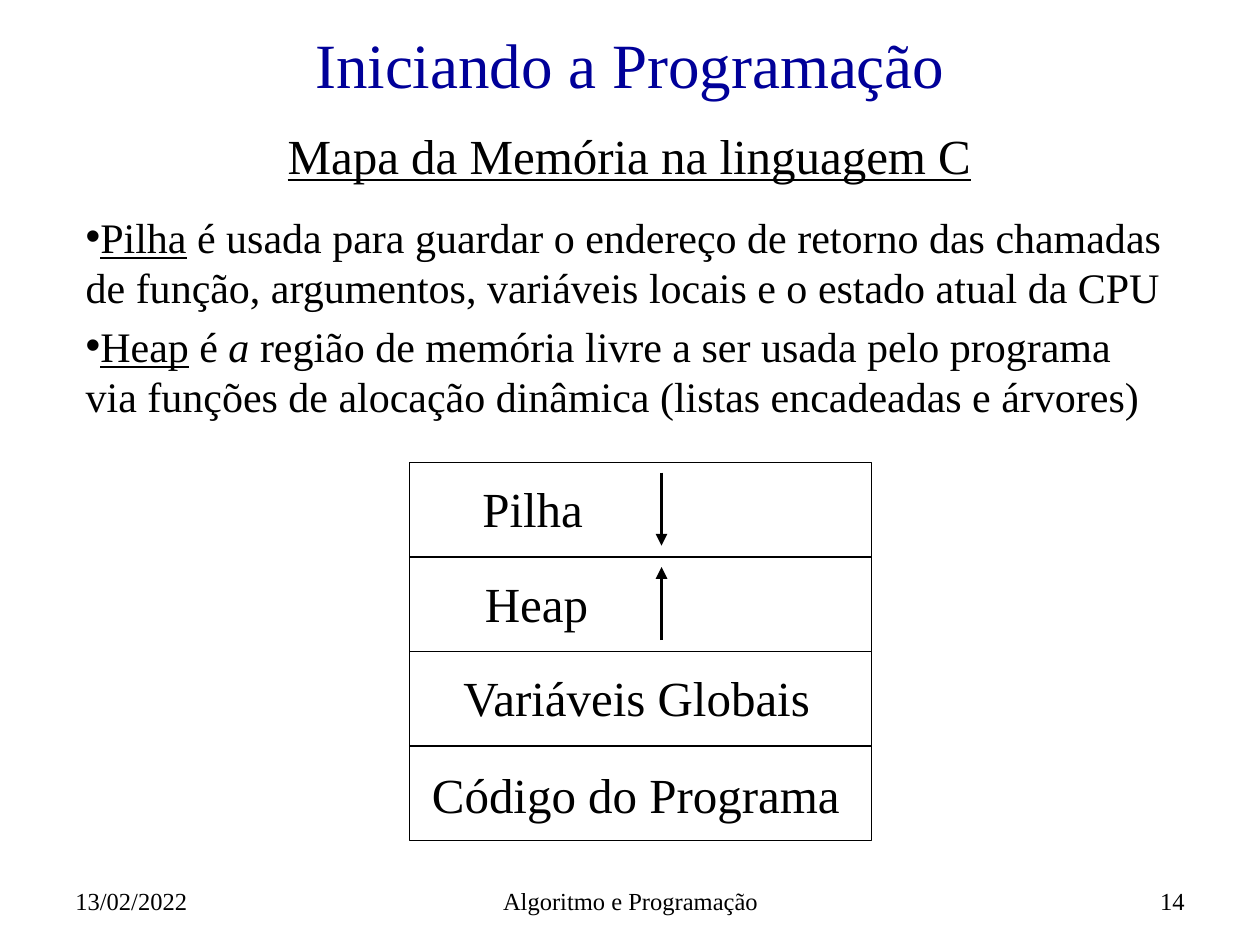
from lxml import etree
from pptx import Presentation
from pptx import util as u
from pptx.dml.color import RGBColor
from pptx.enum import shapes, text
from pptx.oxml.ns import qn

COLORS = {"text": "000000", "title": "000099", "line": "000000"}
ALIGN = text.PP_ALIGN


class MemorySlide:
    """Holds the style and the current slide, and adds each kind of element."""

    font = "Times New Roman"

    def __init__(self, presentation):
        self.slide = presentation.slides.add_slide(presentation.slide_layouts[1])

    def place(self, shape, box):
        shape.left, shape.top, shape.width, shape.height = map(u.Inches, box)

    def format(self, paragraph, size, align=ALIGN.LEFT, color="text"):
        paragraph.alignment = align
        paragraph.font.name = self.font
        paragraph.font.size = u.Pt(size)
        paragraph.font.color.rgb = RGBColor.from_string(COLORS[color])

    def title(self, wording, box):
        title = self.slide.shapes.title
        self.place(title, box)
        title.text_frame.text = wording
        title.text_frame.vertical_anchor = text.MSO_ANCHOR.MIDDLE
        self.format(title.text_frame.paragraphs[0], 36, ALIGN.CENTER, "title")

    def body(self, heading, items, box):
        body = self.slide.placeholders[1]
        self.place(body, box)
        frame = body.text_frame
        frame.auto_size = text.MSO_AUTO_SIZE.NONE
        first = frame.paragraphs[0]
        first.text = heading
        self.format(first, 28, ALIGN.CENTER)
        first.font.underline = True
        first.line_spacing = 0.9
        first.space_after = u.Pt(10)
        self.bullet(first, None)
        for item in items:
            paragraph = frame.add_paragraph()
            self.format(paragraph, 24)
            self.bullet(paragraph, "•")
            for wording, style in item:
                run = paragraph.add_run()
                run.text = wording
                if style:
                    setattr(run.font, style, True)

    def bullet(self, paragraph, mark):
        properties = paragraph._p.get_or_add_pPr()
        properties.set("marL", "0")
        properties.set("indent", "0")
        if mark:
            etree.SubElement(properties, qn("a:buChar")).set("char", mark)
        else:
            etree.SubElement(properties, qn("a:buNone"))

    def textbox(self, wording, box, size, align=ALIGN.LEFT, wrap=True):
        shape = self.slide.shapes.add_textbox(*map(u.Inches, box))
        frame = shape.text_frame
        frame.text = wording
        frame.word_wrap = wrap
        if wrap:
            frame.vertical_anchor = text.MSO_ANCHOR.MIDDLE
        else:
            frame.auto_size = text.MSO_AUTO_SIZE.SHAPE_TO_FIT_TEXT
        self.format(frame.paragraphs[0], size, align)

    def rectangle(self, box):
        shape = self.slide.shapes.add_shape(
            shapes.MSO_SHAPE.RECTANGLE, *map(u.Inches, box))
        shape.shadow.inherit = False
        shape.fill.background()
        shape.line.color.rgb = RGBColor.from_string(COLORS["line"])
        shape.line.width = u.Pt(0.75)

    def arrow(self, x, start, end):
        connector = self.slide.shapes.add_connector(
            shapes.MSO_CONNECTOR.STRAIGHT, *map(u.Inches, (x, start, x, end)))
        connector.line.color.rgb = RGBColor.from_string(COLORS["line"])
        connector.line.width = u.Pt(2.25)
        line = connector.line._get_or_add_ln()
        etree.SubElement(line, qn("a:tailEnd")).set("type", "triangle")
        etree.SubElement(connector._element.spPr, qn("a:effectLst"))


def main():
    presentation = Presentation()
    presentation.slide_width = u.Inches(10)
    presentation.slide_height = u.Inches(7.5)
    page = MemorySlide(presentation)

    page.title("Iniciando a Programação", (0.75, 0.17, 8.5, 0.67))
    page.body("Mapa da Memória na linguagem C", [
        [("Pilha", "underline"),
         (" é usada para guardar o endereço de retorno das chamadas de função, "
          "argumentos, variáveis locais e o estado atual da CPU", None)],
        [("Heap", "underline"), (" é", None), (" a ", "italic"),
         ("região de memória livre a ser usada pelo programa via funções de "
          "alocação dinâmica (listas encadeadas e árvores)", None)],
    ], (0.58, 1, 8.83, 2.42))

    regions = [
        ("Pilha", 3.73, 3.75, 1),
        ("Heap", 3.75, 4.5, 1.02),
        ("Variáveis Globais", 3.58, 5.25, 2.99),
        ("Código do Programa", 3.33, 6.02, 3.44),
    ]
    for row, (label, left, top, width) in enumerate(regions):
        page.rectangle((3.25, 3.67 + 0.75 * row, 3.67, 0.75))
        page.textbox(label, (left, top, width, 0.57), 28, wrap=False)
    page.arrow(5.25, 3.75, 4.33)
    page.arrow(5.25, 5.08, 4.5)

    for wording, left, width, align in [
        ("13/02/2022", 0.5, 2.33, ALIGN.LEFT),
        ("Algoritmo e Programação", 3.42, 3.17, ALIGN.CENTER),
        ("14", 7.17, 2.33, ALIGN.RIGHT),
    ]:
        page.textbox(wording, (left, 6.95, width, 0.4), 14, align)

    presentation.save("out.pptx")


if __name__ == "__main__":
    main()
